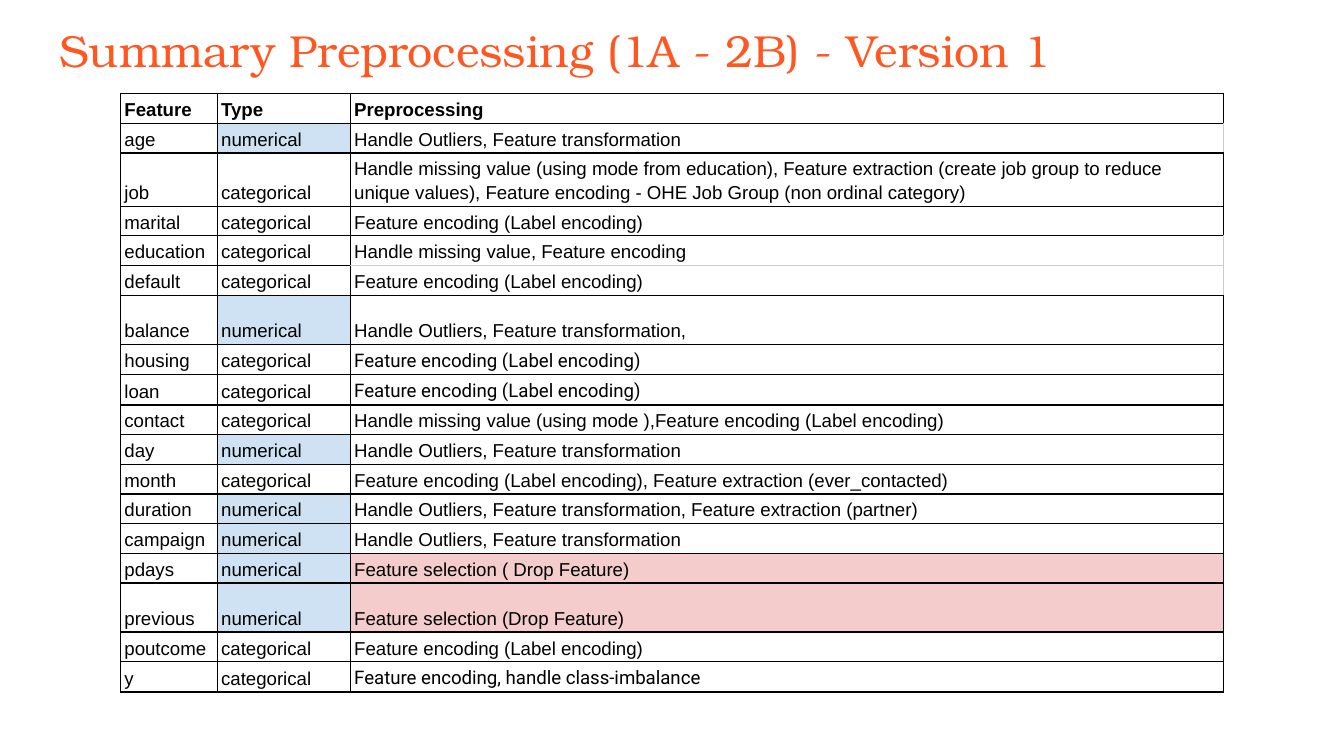
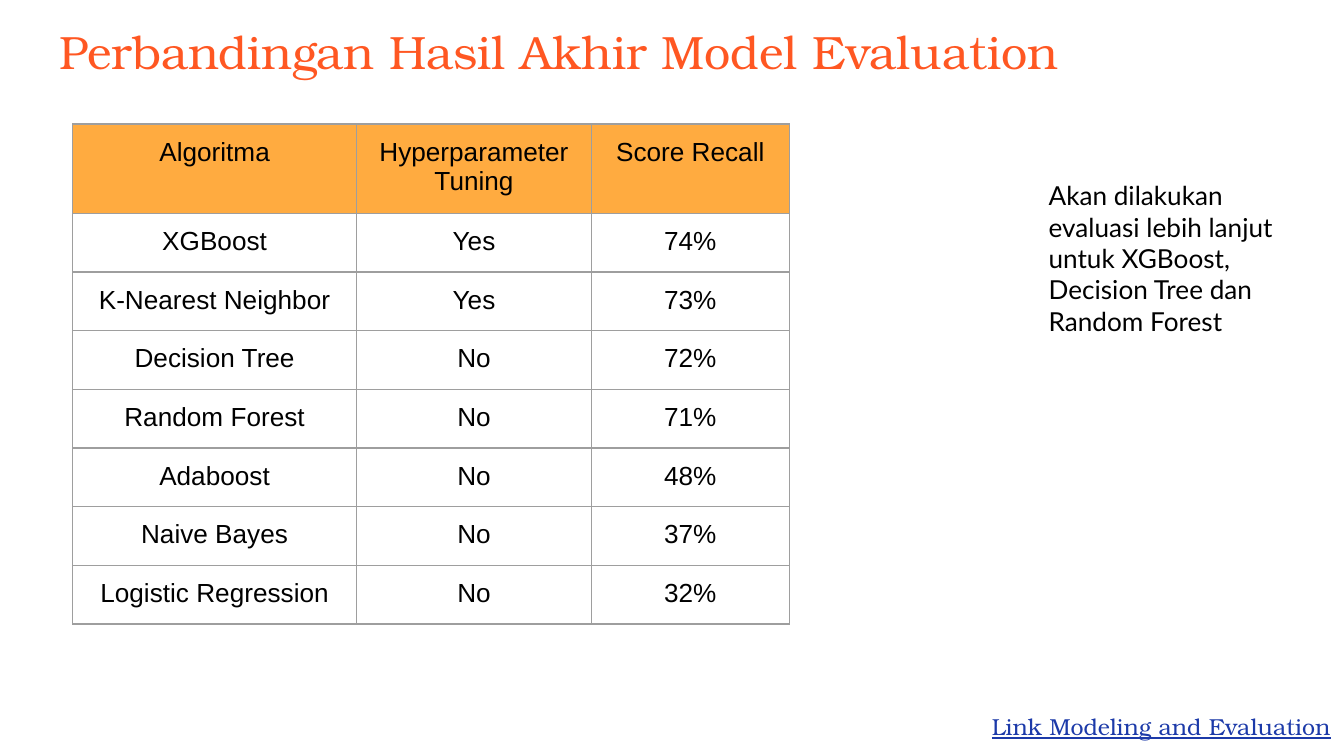
from dataclasses import dataclass, field
from typing import Optional

from pptx import Presentation
from pptx.dml.color import RGBColor
from pptx.enum.text import MSO_ANCHOR, MSO_AUTO_SIZE, PP_ALIGN
from pptx.oxml.xmlchemy import OxmlElement
from pptx.slide import Slide
from pptx.table import _Cell
from pptx.text.text import TextFrame
from pptx.util import Inches, Pt

# The slide is a grid of 100 columns by 56.25 rows; each unit is a tenth of an inch.
GRID_COLUMNS, GRID_ROWS = 100, 56.25

ORANGE, AMBER, BLUE_LINK = "FF5722", "FFAB40", "1C3AA9"
BLACK, WHITE, GREY, PALE_GREY = "000000", "FFFFFF", "9E9E9E", "CCCCCC"
PALE_BLUE, PALE_RED = "CFE2F3", "F4CCCC"
SERIF, SANS = "TeX Gyre Bonum", "Arial"
BORDER_WIDTH = Pt(0.75)


@dataclass(frozen=True)
class Box:
    left: float
    top: float
    width: float
    height: float

    def lengths(self) -> tuple[int, ...]:
        return tuple(map(units, (self.left, self.top, self.width, self.height)))


@dataclass(frozen=True)
class TextStyle:
    size: float
    font: str = SANS
    color: str = BLACK
    bold: bool = False
    underline: bool = False
    align: PP_ALIGN = PP_ALIGN.LEFT
    line_spacing: Optional[float] = None


@dataclass(frozen=True)
class CellSpec:
    text: str
    style: TextStyle
    fill: str = WHITE
    anchor: MSO_ANCHOR = MSO_ANCHOR.TOP
    borders: dict[str, str] = field(default_factory=dict)


@dataclass(frozen=True)
class TableSpec:
    left: float
    top: float
    widths: list[float]
    heights: list[float]
    cells: list[list[CellSpec]]
    border: str
    margin_x: float
    margin_y: float


LOW, TALL = 2.21, 3.65


@dataclass(frozen=True)
class Feature:
    name: str
    kind: str
    preprocessing: str
    font: str = SANS
    height: float = LOW
    anchor: MSO_ANCHOR = MSO_ANCHOR.BOTTOM
    pale_edges: str = ""


LABEL_ENCODING = "Feature encoding (Label encoding)"
OUTLIERS = "Handle Outliers, Feature transformation"
FEATURES = [
    Feature("age", "numerical", OUTLIERS, pale_edges="R"),
    Feature(
        "job",
        "categorical",
        "Handle missing value (using mode from education), Feature extraction "
        "(create job group to reduce unique values), Feature encoding - "
        "OHE Job Group (non ordinal category)",
        height=TALL,
        anchor=MSO_ANCHOR.MIDDLE,
    ),
    Feature("marital", "categorical", LABEL_ENCODING),
    Feature("education", "categorical", "Handle missing value, Feature encoding",
            pale_edges="RB"),
    Feature("default", "categorical", LABEL_ENCODING, pale_edges="TR"),
    Feature("balance", "numerical", f"{OUTLIERS},", height=TALL),
    Feature("housing", "categorical", LABEL_ENCODING, font="Roboto"),
    Feature("loan", "categorical", LABEL_ENCODING, font="Roboto"),
    Feature("contact", "categorical",
            f"Handle missing value (using mode ),{LABEL_ENCODING}"),
    Feature("day", "numerical", OUTLIERS),
    Feature("month", "categorical",
            f"{LABEL_ENCODING}, Feature extraction (ever_contacted)"),
    Feature("duration", "numerical", f"{OUTLIERS}, Feature extraction (partner)"),
    Feature("campaign", "numerical", OUTLIERS),
    Feature("pdays", "numerical", "Feature selection ( Drop Feature)"),
    Feature("previous", "numerical", "Feature selection (Drop Feature)", height=TALL),
    Feature("poutcome", "categorical", LABEL_ENCODING),
    Feature("y", "categorical", "Feature encoding, handle class-imbalance",
            font="Roboto"),
]

SCORES = [
    ("Algoritma", "Hyperparameter Tuning", "Score Recall"),
    ("XGBoost", "Yes", "74%"),
    ("K-Nearest Neighbor", "Yes", "73%"),
    ("Decision Tree", "No", "72%"),
    ("Random Forest", "No", "71%"),
    ("Adaboost", "No", "48%"),
    ("Naive Bayes", "No", "37%"),
    ("Logistic Regression", "No", "32%"),
]


def units(count: float) -> int:
    """Length of a number of grid columns or rows."""
    return Inches(count / 10)


def color_of(value: str) -> RGBColor:
    return RGBColor.from_string(value)


def write_text(frame: TextFrame, text: str, style: TextStyle) -> None:
    paragraph = frame.paragraphs[0]
    paragraph.alignment = style.align
    if style.line_spacing:
        paragraph.line_spacing = style.line_spacing
    run = paragraph.add_run()
    run.text = text
    run.font.name = style.font
    run.font.size = Pt(style.size)
    run.font.bold = style.bold
    run.font.underline = style.underline
    run.font.color.rgb = color_of(style.color)


def prepare_frame(frame: TextFrame) -> None:
    frame.word_wrap = True
    frame.auto_size = MSO_AUTO_SIZE.NONE
    frame.vertical_anchor = MSO_ANCHOR.TOP
    frame.margin_left = frame.margin_right = units(1)
    frame.margin_top = frame.margin_bottom = units(1)


def add_titled_slide(presentation: Presentation, title: str, size: float) -> Slide:
    slide = presentation.slides.add_slide(presentation.slide_layouts[5])
    shape = slide.shapes.title
    shape.left, shape.top, shape.width, shape.height = Box(3.4, 0.7, 93.2, 6.3).lengths()
    prepare_frame(shape.text_frame)
    write_text(shape.text_frame, title, TextStyle(size, SERIF, ORANGE))
    return slide


def add_text(slide: Slide, box: Box, text: str, style: TextStyle) -> None:
    shape = slide.shapes.add_textbox(*box.lengths())
    prepare_frame(shape.text_frame)
    write_text(shape.text_frame, text, style)


def set_border(cell: _Cell, edge: str, color: str) -> None:
    line = OxmlElement(f"a:ln{edge}")
    line.set("w", str(BORDER_WIDTH))
    fill = OxmlElement("a:solidFill")
    value = OxmlElement("a:srgbClr")
    value.set("val", color)
    fill.append(value)
    line.append(fill)
    cell._tc.get_or_add_tcPr().append(line)


def format_cell(cell: _Cell, spec: CellSpec, table_spec: TableSpec) -> None:
    cell.margin_left = cell.margin_right = units(table_spec.margin_x)
    cell.margin_top = cell.margin_bottom = units(table_spec.margin_y)
    cell.vertical_anchor = spec.anchor
    for edge in "LRTB":
        set_border(cell, edge, spec.borders.get(edge, table_spec.border))
    cell.fill.solid()
    cell.fill.fore_color.rgb = color_of(spec.fill)
    write_text(cell.text_frame, spec.text, spec.style)


def add_table(slide: Slide, spec: TableSpec) -> None:
    box = Box(spec.left, spec.top, sum(spec.widths), sum(spec.heights))
    table = slide.shapes.add_table(
        len(spec.heights), len(spec.widths), *box.lengths()
    ).table
    table.first_row = table.horz_banding = False
    for column, width in zip(table.columns, spec.widths):
        column.width = units(width)
    for row, height, cell_specs in zip(table.rows, spec.heights, spec.cells):
        row.height = units(height)
        for cell, cell_spec in zip(row.cells, cell_specs):
            format_cell(cell, cell_spec, spec)


def feature_cells(feature: Feature) -> list[CellSpec]:
    plain = TextStyle(10, line_spacing=1.15)
    detail = TextStyle(10, feature.font, line_spacing=1.15)
    return [
        CellSpec(feature.name, plain, anchor=MSO_ANCHOR.BOTTOM),
        CellSpec(
            feature.kind,
            plain,
            PALE_BLUE if feature.kind == "numerical" else WHITE,
            MSO_ANCHOR.BOTTOM,
        ),
        CellSpec(
            feature.preprocessing,
            detail,
            PALE_RED if "Drop Feature" in feature.preprocessing else WHITE,
            feature.anchor,
            dict.fromkeys(feature.pale_edges, PALE_GREY),
        ),
    ]


def add_preprocessing_slide(presentation: Presentation) -> None:
    slide = add_titled_slide(
        presentation, "Summary Preprocessing (1A - 2B) - Version 1", 24
    )
    heading = TextStyle(10, bold=True, line_spacing=1.15)
    header = [
        CellSpec(text, heading, anchor=MSO_ANCHOR.BOTTOM)
        for text in ("Feature", "Type", "Preprocessing")
    ]
    add_table(slide, TableSpec(
        left=8.96,
        top=6.96,
        widths=[7.2, 9.9, 65],
        heights=[LOW] + [feature.height for feature in FEATURES],
        cells=[header] + [feature_cells(feature) for feature in FEATURES],
        border=BLACK,
        margin_x=0.3,
        margin_y=0.2,
    ))


def add_evaluation_slide(presentation: Presentation) -> None:
    slide = add_titled_slide(
        presentation, "Perbandingan Hasil Akhir Model Evaluation", 25
    )
    centered = TextStyle(14, align=PP_ALIGN.CENTER)
    add_table(slide, TableSpec(
        left=5.42,
        top=9.22,
        widths=[21.1, 17.5, 14.7],
        heights=[6.65] + [4.37] * (len(SCORES) - 1),
        cells=[
            [CellSpec(text, centered, WHITE if index else AMBER) for text in row]
            for index, row in enumerate(SCORES)
        ],
        border=GREY,
        margin_x=1,
        margin_y=1,
    ))
    add_text(
        slide,
        Box(77.04, 12.37, 20.7, 13.8),
        "Akan dilakukan evaluasi lebih lanjut untuk XGBoost, "
        "Decision Tree dan Random Forest",
        TextStyle(14, "Lato"),
    )
    add_text(
        slide,
        Box(61.7, 52, 38.3, 4.2),
        "Link Modeling and Evaluation",
        TextStyle(12.4, SERIF, BLUE_LINK, underline=True, align=PP_ALIGN.RIGHT),
    )


def main() -> None:
    presentation = Presentation()
    presentation.slide_width = units(GRID_COLUMNS)
    presentation.slide_height = units(GRID_ROWS)
    add_preprocessing_slide(presentation)
    add_evaluation_slide(presentation)
    presentation.save("out.pptx")


if __name__ == "__main__":
    main()
